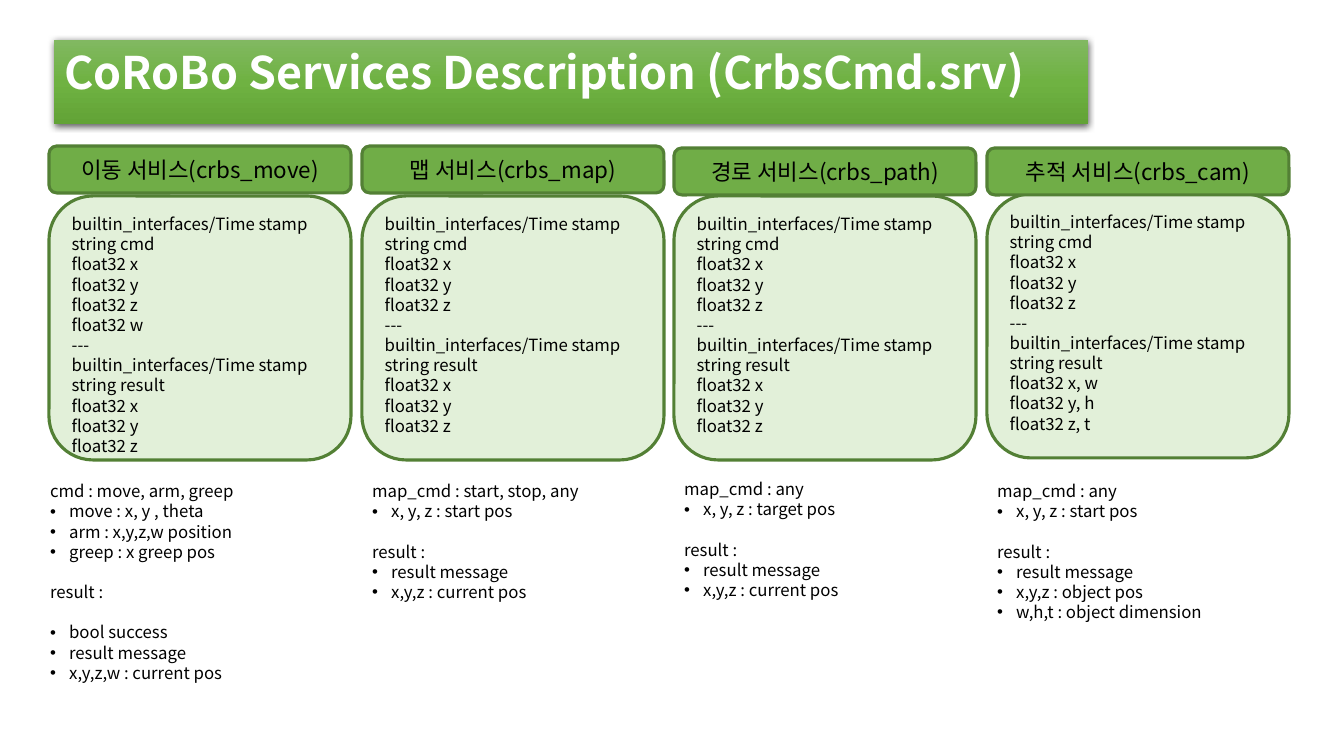
from dataclasses import dataclass

from pptx import Presentation, oxml
from pptx import util as u
from pptx.dml.color import RGBColor
from pptx.enum import shapes, text
from pptx.oxml import ns

PX = 914400 / 100.8


def px(n):
    return u.Emu(round(n * PX))


@dataclass(frozen=True)
class Theme:
    font: str = "Noto Sans CJK KR"
    ink: str = "000000"
    title_ink: str = "FFFFFF"
    header_fill: str = "70AD47"
    body_fill: str = "E2F0D9"
    border: str = "538035"
    shadow: str = "000000"
    gradient: tuple = ((0, "81B861"), (50, "6FB242"), (100, "62A336"))
    title_size: int = 32
    header_size: int = 16
    body_size: int = 12
    border_width: float = 2.25
    gap: float = 14.4
    indent: int = 19


class Deck:
    def __init__(self, theme):
        self.t = theme
        self.prs = Presentation()
        self.prs.slide_width, self.prs.slide_height = px(1344), px(756)
        self.s = self.prs.slides.add_slide(self.prs.slide_layouts[4])

    def place(self, sp, box):
        for name, value in zip(("left", "top", "width", "height"), box):
            setattr(sp, name, px(value))

    def frame(self, tf, **formats):
        for name, value in formats.items():
            setattr(tf, name, value)

    def xml(self, parent, markup):
        tag, rest = markup.split(" ", 1)
        parent.append(oxml.parse_xml(f"{tag} {ns.nsdecls('a')} {rest}"))

    def add_line(self, p, line, size, color, bold=False, align=text.PP_ALIGN.LEFT, before=0):
        for name, value in {"alignment": align, "space_before": u.Pt(before)}.items():
            setattr(p, name, value)
        r = p.add_run()
        r.text = line
        formats = {"name": self.t.font, "size": u.Pt(size), "bold": bold}
        for name, value in formats.items():
            setattr(r.font, name, value)
        r.font.color.rgb = RGBColor.from_string(color)
        self.xml(r._r.get_or_add_rPr(), f'<a:ea typeface="{self.t.font}"/>')

    def bullet(self, p, on):
        pPr = p._p.get_or_add_pPr()
        indent = px(self.t.indent) if on else 0
        pPr.set("marL", str(indent))
        pPr.set("indent", str(-indent))
        if on:
            self.xml(pPr, '<a:buFont typeface="Arial"/>')
            self.xml(pPr, '<a:buChar char="•"/>')
        else:
            self.xml(pPr, "<a:buNone />")

    def title(self, line, box):
        sp = self.s.shapes.title
        self.place(sp, box)
        stops = "".join(
            f'<a:gs pos="{pos * 1000}"><a:srgbClr val="{color}"/></a:gs>'
            for pos, color in self.t.gradient
        )
        spPr = sp._element.spPr
        self.xml(spPr, f'<a:gradFill rotWithShape="1"><a:gsLst>{stops}</a:gsLst>'
                       '<a:lin ang="5400000" scaled="0"/></a:gradFill>')
        self.xml(spPr, '<a:effectLst ><a:outerShdw blurRad="57150" dist="19050" '
                       'dir="5400000" algn="ctr" rotWithShape="0">'
                       f'<a:srgbClr val="{self.t.shadow}"><a:alpha val="63000"/>'
                       '</a:srgbClr></a:outerShdw></a:effectLst>')
        tf = sp.text_frame
        self.frame(tf, word_wrap=True, vertical_anchor=text.MSO_ANCHOR.TOP,
                   auto_size=text.MSO_AUTO_SIZE.SHAPE_TO_FIT_TEXT)
        self.add_line(tf.paragraphs[0], line, self.t.title_size, self.t.title_ink, bold=True)

    def card(self, lines, box, fill, size, align, anchor):
        sp = self.s.shapes.add_shape(shapes.MSO_SHAPE.ROUNDED_RECTANGLE, *map(px, box))
        sp.shadow.inherit = False
        sp.fill.solid()
        sp.fill.fore_color.rgb = RGBColor.from_string(fill)
        sp.line.color.rgb = RGBColor.from_string(self.t.border)
        sp.line.width = u.Pt(self.t.border_width)
        tf = sp.text_frame
        self.frame(tf, word_wrap=True, vertical_anchor=anchor)
        for i, line in enumerate(lines):
            p = tf.add_paragraph() if i else tf.paragraphs[0]
            self.add_line(p, line, size, self.t.ink, align=align)

    def header(self, line, box):
        self.card([line], box, self.t.header_fill, self.t.header_size,
                  text.PP_ALIGN.CENTER, text.MSO_ANCHOR.MIDDLE)

    def message(self, lines, box):
        self.card(lines, box, self.t.body_fill, self.t.body_size,
                  text.PP_ALIGN.LEFT, text.MSO_ANCHOR.TOP)

    def notes(self, idx, sections, box):
        sp = self.s.placeholders[idx]
        self.place(sp, box)
        tf = sp.text_frame
        self.frame(tf, word_wrap=False, vertical_anchor=text.MSO_ANCHOR.TOP,
                   auto_size=text.MSO_AUTO_SIZE.SHAPE_TO_FIT_TEXT)
        p = tf.paragraphs[0]
        for n, (heading, items) in enumerate(sections):
            lines = [(heading, False)] if heading else []
            lines += [(item, True) for item in items]
            for i, (line, bulleted) in enumerate(lines):
                if n or i:
                    p = tf.add_paragraph()
                before = self.t.gap if n and not i else 0
                self.add_line(p, line, self.t.body_size, self.t.ink, before=before)
                self.bullet(p, bulleted)


def fields(request, response):
    stamp = "builtin_interfaces/Time stamp"
    return [stamp, "string cmd", *(f"float32 {f}" for f in request), "---",
            stamp, "string result", *(f"float32 {f}" for f in response)]


SERVICES = [
    {"name": "이동 서비스(crbs_move)", "request": "xyzw", "response": "xyz",
     "tops": (146, 196, 476), "notes": (40, 206, 234),
     "sections": [("cmd : move, arm, greep",
                   ["move : x, y , theta", "arm : x,y,z,w position", "greep : x greep pos"]),
                  ("result :", []),
                  ("", ["bool success", "result message", "x,y,z,w : current pos"])]},
    {"name": "맵 서비스(crbs_map)", "request": "xyz", "response": "xyz",
     "tops": (146, 196, 476), "notes": (362, 231, 152),
     "sections": [("map_cmd : start, stop, any", ["x, y, z : start pos"]),
                  ("result :", ["result message", "x,y,z : current pos"])]},
    {"name": "경로 서비스(crbs_path)", "request": "xyz", "response": "xyz",
     "tops": (148, 196, 474), "notes": (674, 186, 152),
     "sections": [("map_cmd : any", ["x, y, z : target pos"]),
                  ("result :", ["result message", "x,y,z : current pos"])]},
    {"name": "추적 서비스(crbs_cam)", "request": "xyz", "response": ["x, w", "y, h", "z, t"],
     "tops": (148, 194, 476), "notes": (987, 238, 173),
     "sections": [("map_cmd : any", ["x, y, z : start pos"]),
                  ("result :", ["result message", "x,y,z : object pos",
                                "w,h,t : object dimension"])]},
]


def main():
    deck = Deck(Theme())
    deck.title("CoRoBo Services Description (CrbsCmd.srv)", (54, 40, 1034, 65))
    for col, service in enumerate(SERVICES):
        left = 49 + (col * 625 + 1) // 2
        header_top, message_top, notes_top = service["tops"]
        notes_left, notes_width, notes_height = service["notes"]
        deck.message(fields(service["request"], service["response"]),
                     (left, message_top, 302, 264))
        deck.header(service["name"], (left, header_top, 302, 47))
        deck.notes(col + 1, service["sections"],
                   (notes_left, notes_top, notes_width, notes_height))
    deck.prs.save("out.pptx")


if __name__ == "__main__":
    main()
